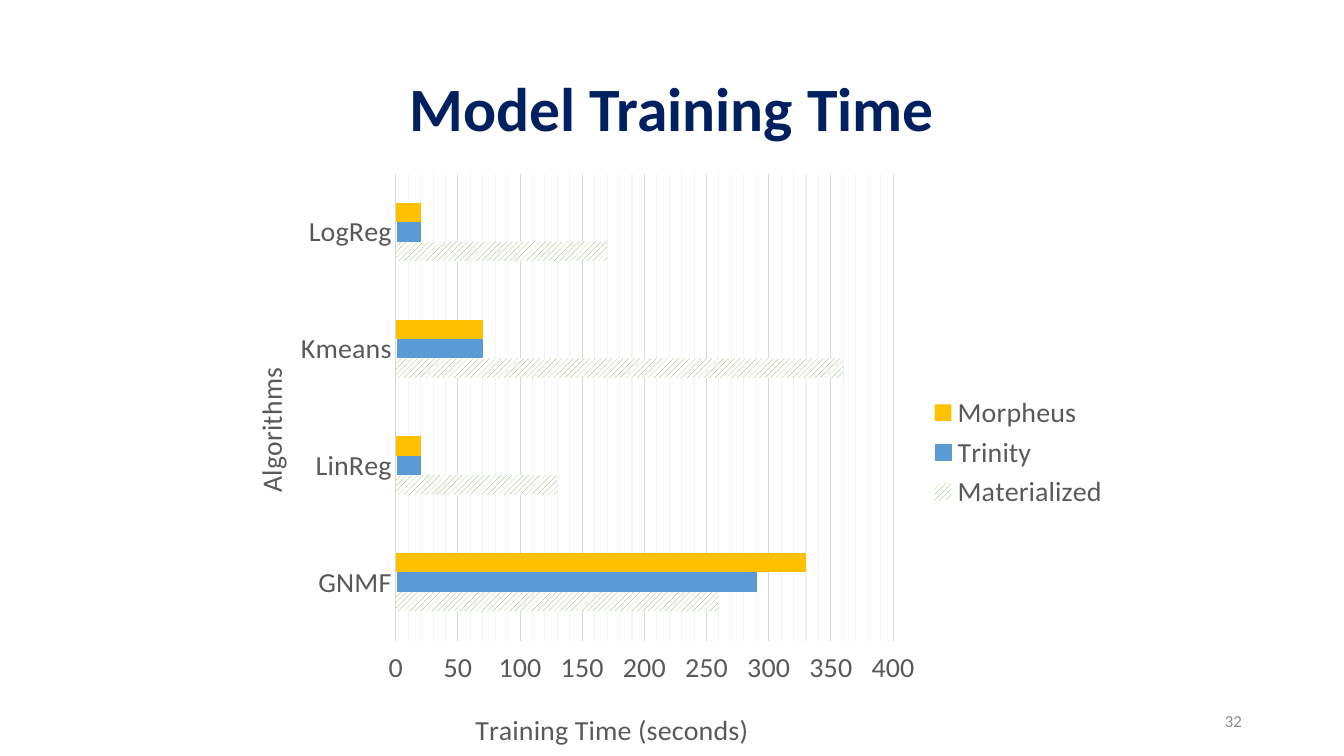
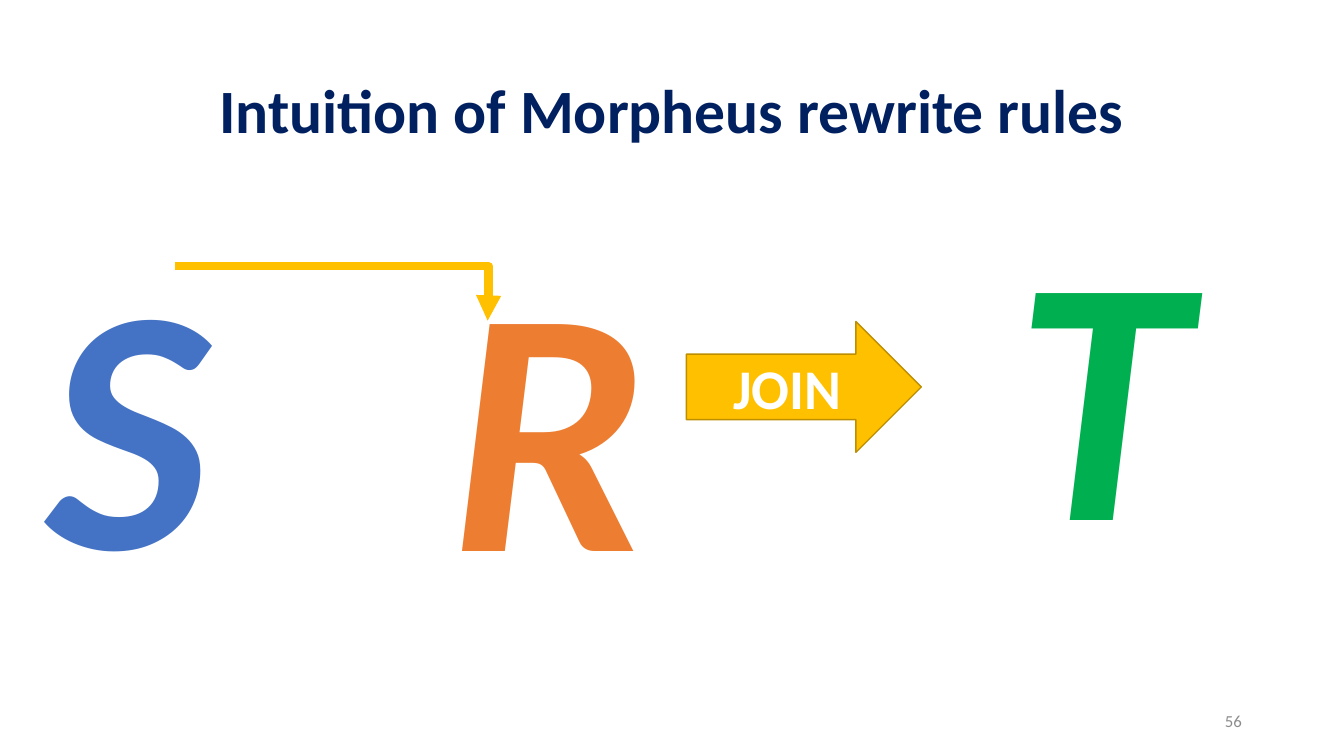
from dataclasses import dataclass
from typing import Any, Optional

import lxml.etree
import pptx
import pptx.chart.data
import pptx.dml.color
import pptx.enum.chart
import pptx.enum.dml
import pptx.enum.shapes
import pptx.enum.text
import pptx.oxml
import pptx.oxml.ns
import pptx.util

Cm = pptx.util.Cm
Pt = pptx.util.Pt
qn = pptx.oxml.ns.qn
Align = pptx.enum.text.PP_ALIGN
Anchor = pptx.enum.text.MSO_ANCHOR
Pattern = pptx.enum.dml.MSO_PATTERN


# Theme: colours and type sizes
@dataclass(frozen=True)
class Theme:
    font: str = "Calibri"
    navy: str = "002060"
    white: str = "FFFFFF"
    gold: str = "FFC000"
    dark_gold: str = "BD8E00"
    blue: str = "4472C4"
    sky: str = "5B9BD5"
    orange: str = "ED7D31"
    green: str = "00B050"
    leaf: str = "70AD47"
    chart_text: str = "595959"
    grid: str = "D9D9D9"
    minor_grid: str = "F2F2F2"
    page_text: str = "8C8C8C"
    title_size: int = 44
    letter_size: int = 250
    join_size: int = 40
    chart_size: int = 20
    page_size: int = 12


THEME = Theme()


@dataclass(frozen=True)
class Box:
    left: float
    top: float
    width: float
    height: float

    def lengths(self) -> tuple:
        return tuple(Cm(v) for v in (self.left, self.top, self.width, self.height))


@dataclass(frozen=True)
class TimingSeries:
    name: str
    seconds: tuple
    color: str
    pattern: Optional[Any] = None


@dataclass(frozen=True)
class MatrixLetter:
    letter: str
    left: float
    top: float
    color: str


# Shared helpers
def rgb(color: str) -> pptx.dml.color.RGBColor:
    return pptx.dml.color.RGBColor.from_string(color)


def style_font(font: Any, size: int, color: str, bold: bool = False, italic: bool = False) -> None:
    font.name = THEME.font
    font.size = Pt(size)
    font.bold = bold
    font.italic = italic
    font.color.rgb = rgb(color)


def write_line(frame: Any, text: str, size: int, color: str, align: Any = Align.CENTER,
               anchor: Any = Anchor.MIDDLE, bold: bool = False, italic: bool = False) -> Any:
    frame.text = text
    frame.word_wrap = True
    frame.auto_size = pptx.enum.text.MSO_AUTO_SIZE.NONE
    frame.vertical_anchor = anchor
    paragraph = frame.paragraphs[0]
    paragraph.alignment = align
    style_font(paragraph.font, size, color, bold, italic)
    return paragraph


def add_titled_slide(deck: Any, title: str, title_top: float, number: int) -> Any:
    slide = deck.slides.add_slide(deck.slide_layouts[5])
    heading = slide.shapes.title
    heading.left, heading.top, heading.width, heading.height = Box(2.33, title_top, 29.21, 3.68).lengths()
    paragraph = write_line(heading.text_frame, title, THEME.title_size, THEME.navy, bold=True)
    paragraph.line_spacing = 0.9
    page = slide.shapes.add_textbox(*Box(23.93, 17.65, 7.62, 1.02).lengths())
    write_line(page.text_frame, str(number), THEME.page_size, THEME.page_text, Align.RIGHT)
    return slide


# Chart helpers
def place_in_chart(parent: Any, inner: bool = False, **fractions: float) -> None:
    layout = parent.find(qn("c:layout"))
    if layout is None:
        layout = pptx.oxml.parse_xml(
            '<c:layout xmlns:c="http://schemas.openxmlformats.org/drawingml/2006/chart"/>')
        position = 1 if parent.find(qn("c:tx")) is not None else 0
        parent.insert(position, layout)
    manual = lxml.etree.SubElement(layout, qn("c:manualLayout"))
    settings = {"layoutTarget": "inner"} if inner else {}
    settings.update(xMode="edge", yMode="edge", **fractions)
    for tag, value in settings.items():
        lxml.etree.SubElement(manual, qn(f"c:{tag}")).set("val", str(value))


def title_axis(axis: Any, text: str, x: float, y: float) -> Any:
    style_font(axis.tick_labels.font, THEME.chart_size, THEME.chart_text)
    frame = axis.axis_title.text_frame
    frame.text = text
    style_font(frame.paragraphs[0].font, THEME.chart_size, THEME.chart_text)
    place_in_chart(axis.axis_title._element, x=x, y=y)
    return frame


def style_line(line: Any, color: str) -> None:
    line.color.rgb = rgb(color)
    line.width = Pt(0.75)


def style_minor_gridlines(axis: Any, color: str) -> None:
    axis.has_minor_gridlines = True
    element = axis._element.find(qn("c:minorGridlines"))
    for tag in ("c:spPr", "a:ln", "a:solidFill", "a:srgbClr"):
        element = lxml.etree.SubElement(element, qn(tag))
        if tag == "a:ln":
            element.set("w", str(int(Pt(0.75))))
    element.set("val", color)


def add_timing_chart(slide: Any, algorithms: tuple, systems: tuple) -> None:
    timings = pptx.chart.data.CategoryChartData()
    timings.categories = algorithms
    for system in systems:
        timings.add_series(system.name, system.seconds)
    chart = slide.shapes.add_chart(
        pptx.enum.chart.XL_CHART_TYPE.BAR_CLUSTERED,
        *Box(5.64, 3.99, 22.58, 15.06).lengths(), timings).chart
    chart.has_title = False
    style_font(chart.font, THEME.chart_size, THEME.chart_text)

    # Bars
    plot = chart.plots[0]
    plot.gap_width = 300
    plot.vary_by_categories = False
    for series, system in zip(plot.series, systems):
        fill = series.format.fill
        series.invert_if_negative = False
        if system.pattern is None:
            fill.solid()
            fill.fore_color.rgb = rgb(system.color)
        else:
            fill.patterned()
            fill.pattern = system.pattern
            fill.fore_color.rgb = rgb(system.color)
            fill.back_color.rgb = rgb(THEME.white)
    place_in_chart(chart._chartSpace.chart.plotArea, inner=True,
                   x=0.192, y=0.026, w=0.555, h=0.794)

    # Axes
    tick = pptx.enum.chart.XL_TICK_MARK
    algorithm_axis, seconds_axis = chart.category_axis, chart.value_axis
    algorithm_axis.major_tick_mark = tick.NONE
    style_line(algorithm_axis.format.line, THEME.grid)
    turned = title_axis(algorithm_axis, "Algorithms", 0.025, 0.35)
    turned._txBody.bodyPr.set("rot", "-5400000")
    turned._txBody.bodyPr.set("vert", "horz")
    seconds_axis.minimum_scale, seconds_axis.maximum_scale = 0, 400
    seconds_axis.major_unit, seconds_axis.minor_unit = 50, 10
    seconds_axis.major_tick_mark = tick.OUTSIDE
    seconds_axis.format.line.fill.background()
    seconds_axis.has_major_gridlines = True
    style_line(seconds_axis.major_gridlines.format.line, THEME.grid)
    style_minor_gridlines(seconds_axis, THEME.minor_grid)
    title_axis(seconds_axis, "Training Time (seconds)", 0.275, 0.93)

    # Legend
    chart.has_legend = True
    chart.legend.position = pptx.enum.chart.XL_LEGEND_POSITION.RIGHT
    chart.legend.include_in_layout = False
    style_font(chart.legend.font, THEME.chart_size, THEME.chart_text)


# Diagram helpers
def add_matrix_letter(slide: Any, matrix: MatrixLetter) -> None:
    holder = slide.shapes.add_textbox(*Box(matrix.left, matrix.top, 6.2, 8.81).lengths())
    paragraph = write_line(holder.text_frame, matrix.letter, THEME.letter_size, matrix.color,
                           anchor=Anchor.TOP, bold=True, italic=True)
    paragraph.line_spacing = 0.9
    paragraph.space_before = Pt(10)


def add_join_arrow(slide: Any) -> None:
    join = slide.shapes.add_shape(pptx.enum.shapes.MSO_SHAPE.RIGHT_ARROW,
                                  *Box(17.3, 8.1, 5.92, 3.3).lengths())
    join.shadow.inherit = False
    join.fill.solid()
    join.fill.fore_color.rgb = rgb(THEME.gold)
    join.line.color.rgb = rgb(THEME.dark_gold)
    join.line.width = Pt(1)
    write_line(join.text_frame, "JOIN", THEME.join_size, THEME.white, bold=True)


def add_key_link(slide: Any) -> None:
    link = slide.shapes.add_connector(pptx.enum.shapes.MSO_CONNECTOR.ELBOW,
                                      Cm(4.42), Cm(6.71), Cm(12.29), Cm(8.08))
    link.line.color.rgb = rgb(THEME.gold)
    link.line.width = Pt(6)
    properties = link._element.spPr
    geometry = properties.find(qn("a:prstGeom"))
    guides = geometry.find(qn("a:avLst"))
    if guides is None:
        guides = lxml.etree.SubElement(geometry, qn("a:avLst"))
    bend = lxml.etree.SubElement(guides, qn("a:gd"))
    bend.set("name", "adj1")
    bend.set("fmla", "val 100300")
    outline = properties.find(qn("a:ln"))
    lxml.etree.SubElement(outline, qn("a:tailEnd")).set("type", "triangle")
    lxml.etree.SubElement(properties, qn("a:effectLst"))


# Content
ALGORITHMS = ("GNMF", "LinReg", "Kmeans", "LogReg")
SYSTEMS = (
    TimingSeries("Materialized", (260, 130, 360, 170), THEME.leaf, Pattern.WIDE_UPWARD_DIAGONAL),
    TimingSeries("Trinity", (290, 20, 70, 20), THEME.sky, Pattern.DARK_VERTICAL),
    TimingSeries("Morpheus", (330, 20, 70, 20), THEME.gold),
)
MATRICES = (
    MatrixLetter("T", 24.64, 5.36, THEME.green),
    MatrixLetter("S", 0.13, 6.1, THEME.blue),
    MatrixLetter("R", 10.74, 6.15, THEME.orange),
)


def main() -> None:
    deck = pptx.Presentation()
    deck.slide_width, deck.slide_height = Cm(33.87), Cm(19.05)

    # Training time slide
    training = add_titled_slide(deck, "Model Training Time", 0.97, 32)
    add_timing_chart(training, ALGORITHMS, SYSTEMS)

    # Rewrite rules slide
    rules = add_titled_slide(deck, "Intuition of Morpheus rewrite rules", 1.02, 56)
    add_join_arrow(rules)
    for matrix in MATRICES:
        add_matrix_letter(rules, matrix)
    add_key_link(rules)

    deck.save("out.pptx")


main()
